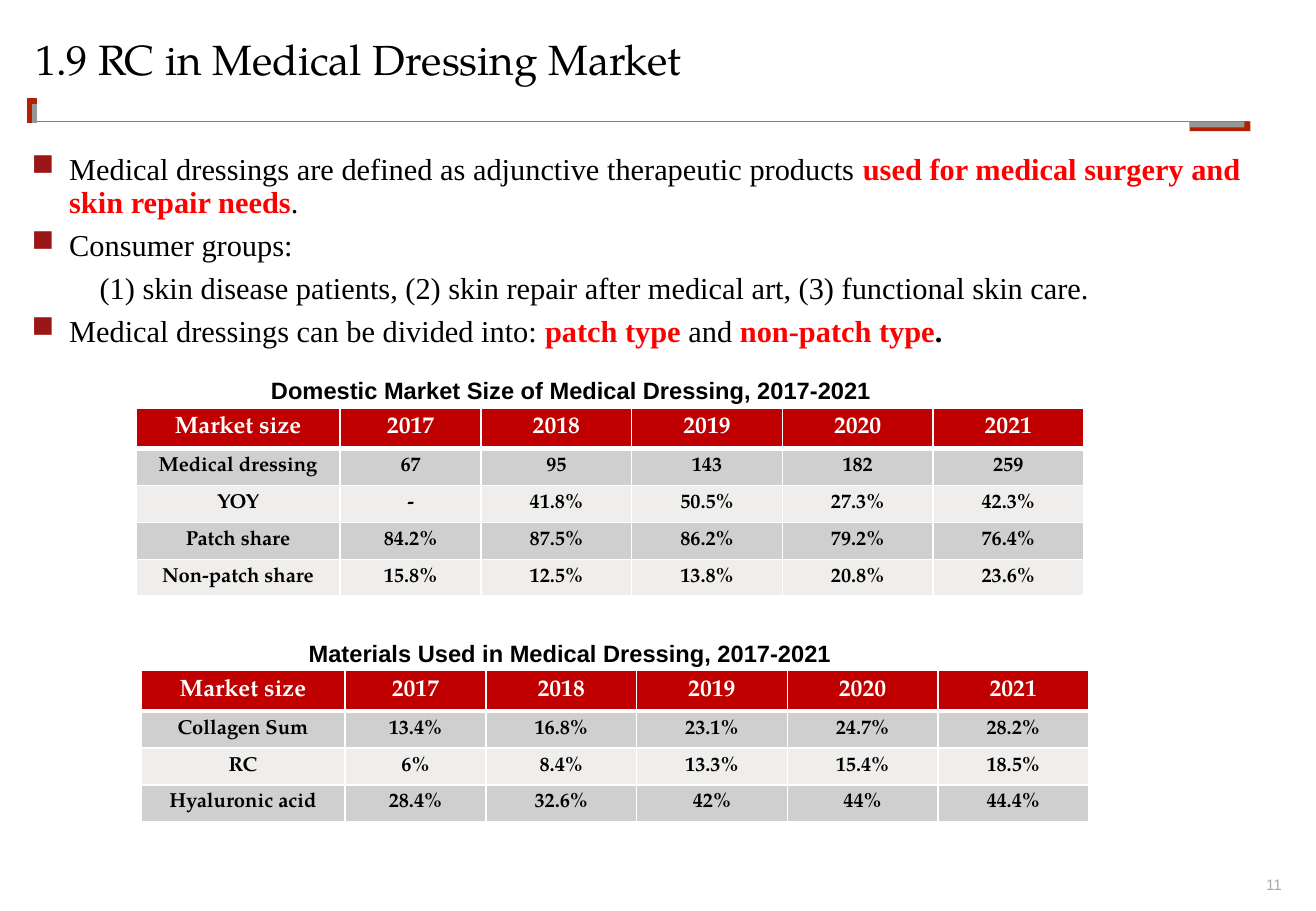
from pptx import Presentation
from pptx.dml.color import RGBColor
from pptx.enum.shapes import MSO_CONNECTOR, MSO_SHAPE
from pptx.enum.text import MSO_ANCHOR, PP_ALIGN
from pptx.oxml import parse_xml
from pptx.oxml.ns import nsdecls
from pptx.util import Inches, Pt

LINE, RECT = MSO_CONNECTOR.STRAIGHT, MSO_SHAPE.RECTANGLE
TOP, MIDDLE, BOTTOM = MSO_ANCHOR.TOP, MSO_ANCHOR.MIDDLE, MSO_ANCHOR.BOTTOM
LEFT, CENTER, RIGHT, JUSTIFY = PP_ALIGN.LEFT, PP_ALIGN.CENTER, PP_ALIGN.RIGHT, PP_ALIGN.JUSTIFY

BLACK = RGBColor(0x00, 0x00, 0x00)
WHITE = RGBColor(0xFF, 0xFF, 0xFF)
RED = RGBColor(0xFF, 0x00, 0x00)
RUST = RGBColor(0xB4, 0x21, 0x00)
WINE = RGBColor(0x9B, 0x17, 0x17)
GRAY = RGBColor(0x96, 0x96, 0x96)
RULE = RGBColor(0x80, 0x80, 0x80)
PALE = RGBColor(0xAD, 0xAB, 0xA1)
HEAD = RGBColor(0xC0, 0x00, 0x00)
BANDS = (RGBColor(0xEF, 0xEE, 0xEC), RGBColor(0xD0, 0xCF, 0xD0))

SERIF, SANS, BODY = "TeX Gyre Pagella", "Arial", "Times New Roman"


def write(par, text, size=18, font=BODY, color=BLACK, bold=False):
    run = par.add_run()
    run.text = text
    run.font.size, run.font.name, run.font.bold = Pt(size), font, bold
    run.font.color.rgb = color


class Page:
    """Lengths are percent of the slide's width and height."""

    def __init__(self, deck):
        self.deck = deck
        self.slide = deck.slides.add_slide(deck.slide_layouts[6])
        self.shapes = self.slide.shapes

    def x(self, share):
        return round(self.deck.slide_width * share / 100)

    def y(self, share):
        return round(self.deck.slide_height * share / 100)

    def box(self, x, y, w, h):
        return self.x(x), self.y(y), self.x(w), self.y(h)

    def line(self, x1, y1, x2, y2, color, width):
        line = self.shapes.add_connector(LINE, self.x(x1), self.y(y1), self.x(x2), self.y(y2))
        line.line.color.rgb, line.line.width = color, Pt(width)
        line._element.spPr.append(parse_xml(f"<a:effectLst {nsdecls('a')}/>"))

    def rect(self, x, y, w, h, color):
        rect = self.shapes.add_shape(RECT, *self.box(x, y, w, h))
        rect.shadow.inherit = False
        rect.fill.solid()
        rect.fill.fore_color.rgb = color
        rect.line.fill.background()

    def frame(self, x, y, w, h, anchor=TOP):
        frame = self.shapes.add_textbox(*self.box(x, y, w, h)).text_frame
        frame.margin_left = frame.margin_right = frame.margin_top = frame.margin_bottom = 0
        frame.word_wrap, frame.vertical_anchor = True, anchor
        return frame

    def label(self, x, y, w, h, text, anchor=TOP, align=LEFT, gap=0, **look):
        par = self.frame(x, y, w, h, anchor).paragraphs[0]
        par.alignment, par.line_spacing, par.space_before = align, 0.9, Pt(gap)
        write(par, text, **look)

    def points(self, x, y, w, h, items):
        frame = self.frame(x, y, w, h)
        for i, (mark, runs) in enumerate(items):
            par = frame.add_paragraph() if i else frame.paragraphs[0]
            par.alignment, par.line_spacing, par.space_before = JUSTIFY, 0.9, Pt(6)
            props = par._p.get_or_add_pPr()
            hang = self.x(2.86)
            props.set("marL", str(hang if mark else 0))
            props.set("indent", str(-hang if mark else self.x(5.17)))
            if mark:
                props.append(parse_xml(f'<a:buClr {nsdecls("a")}><a:srgbClr val="{WINE}"/></a:buClr>'))
                props.append(parse_xml(f'<a:buChar {nsdecls("a")} char="■"/>'))
            for text, look in runs:
                write(par, text, **look)

    def table(self, x, y, cols, rows, data):
        area = self.box(x, y, sum(cols), sum(rows))
        grid = self.shapes.add_table(len(rows), len(cols), *area).table
        for col, width in zip(grid.columns, cols):
            col.width = self.x(width)
        for r, values in enumerate(data):
            grid.rows[r].height = self.y(rows[r])
            for c, value in enumerate(values):
                self.cell(grid.cell(r, c), r, value)

    def cell(self, cell, row, value):
        props = cell._tc.get_or_add_tcPr()
        # Thick rule between the header and the first row
        widths = {"L": 1, "R": 1, "T": 3 if row == 1 else 1, "B": 1 if row else 3}
        for side, width in widths.items():
            props.append(parse_xml(
                f'<a:ln{side} {nsdecls("a")} w="{Pt(width)}"><a:solidFill>'
                f'<a:srgbClr val="{WHITE}"/></a:solidFill></a:ln{side}>'))
        cell.fill.solid()
        cell.fill.fore_color.rgb = BANDS[row % 2] if row else HEAD
        cell.vertical_anchor = MIDDLE
        par = cell.text_frame.paragraphs[0]
        par.alignment = CENTER
        write(par, value, size=12 if row else 14, font=SERIF,
              color=BLACK if row else WHITE, bold=True)


def main():
    deck = Presentation()
    deck.slide_width, deck.slide_height = Inches(10.83), Inches(7.5)
    page = Page(deck)

    # Title rule and accents
    page.line(2.77, 13.33, 94.92, 13.33, RULE, 1)
    page.line(2.4, 13.47, 2.4, 10.8, RUST, 6)
    page.line(2.59, 13.47, 2.59, 11.47, GRAY, 3)
    page.rect(90.4, 13.33, 4.62, 1.07, RUST)
    page.rect(90.4, 13.33, 4.16, 0.67, GRAY)

    # Title and page number
    page.label(2.68, 4.27, 94.64, 8.93, "1.9 RC in Medical Dressing Market", size=25, font=SERIF)
    page.label(94.55, 96.13, 2.86, 2, "11", anchor=BOTTOM, align=RIGHT,
               size=9, font=SANS, color=PALE)

    # Key points
    hot, bold = {"color": RED, "bold": True}, {"bold": True}
    page.points(2.4, 16.93, 91.87, 21.07, [
        (True, [("Medical dressings are defined as adjunctive therapeutic products ", {}),
                ("used for medical surgery and skin repair needs", hot), (".", {})]),
        (True, [("Consumer groups:", {})]),
        (False, [("(1) skin disease patients, (2) skin repair after medical art, "
                  "(3) functional skin care.", {})]),
        (True, [("Medical dressings can be divided into: ", {}), ("patch type ", hot),
                ("and", {}), (" non-patch type", hot), (".", bold)]),
    ])

    # Captioned tables
    header = ["Market size"] + [str(year) for year in range(2017, 2022)]
    market = [
        ["Medical dressing", "67", "95", "143", "182", "259"],
        ["YOY", "-", "41.8%", "50.5%", "27.3%", "42.3%"],
        ["Patch share", "84.2%", "87.5%", "86.2%", "79.2%", "76.4%"],
        ["Non-patch share", "15.8%", "12.5%", "13.8%", "20.8%", "23.6%"],
    ]
    stuff = [
        ["Collagen Sum", "13.4%", "16.8%", "23.1%", "24.7%", "28.2%"],
        ["RC", "6%", "8.4%", "13.3%", "15.4%", "18.5%"],
        ["Hyaluronic acid", "28.4%", "32.6%", "42%", "44%", "44.4%"],
    ]
    cols = [15.51, 10.71] + [11.45] * 4
    for left, top, inset, title, data in (
        (10.34, 44.8, 20.59, "Domestic Market Size of Medical Dressing, 2017-2021", market),
        (10.71, 73.6, 23.45, "Materials Used in Medical Dressing, 2017-2021", stuff),
    ):
        page.label(inset, top - 3.13, 60.48, 2.8, title, gap=6, size=14, font=SANS, bold=True)
        page.table(left, top, cols, [4.4] + [4.05] * len(data), [header] + data)

    deck.save("out.pptx")


if __name__ == "__main__":
    main()
